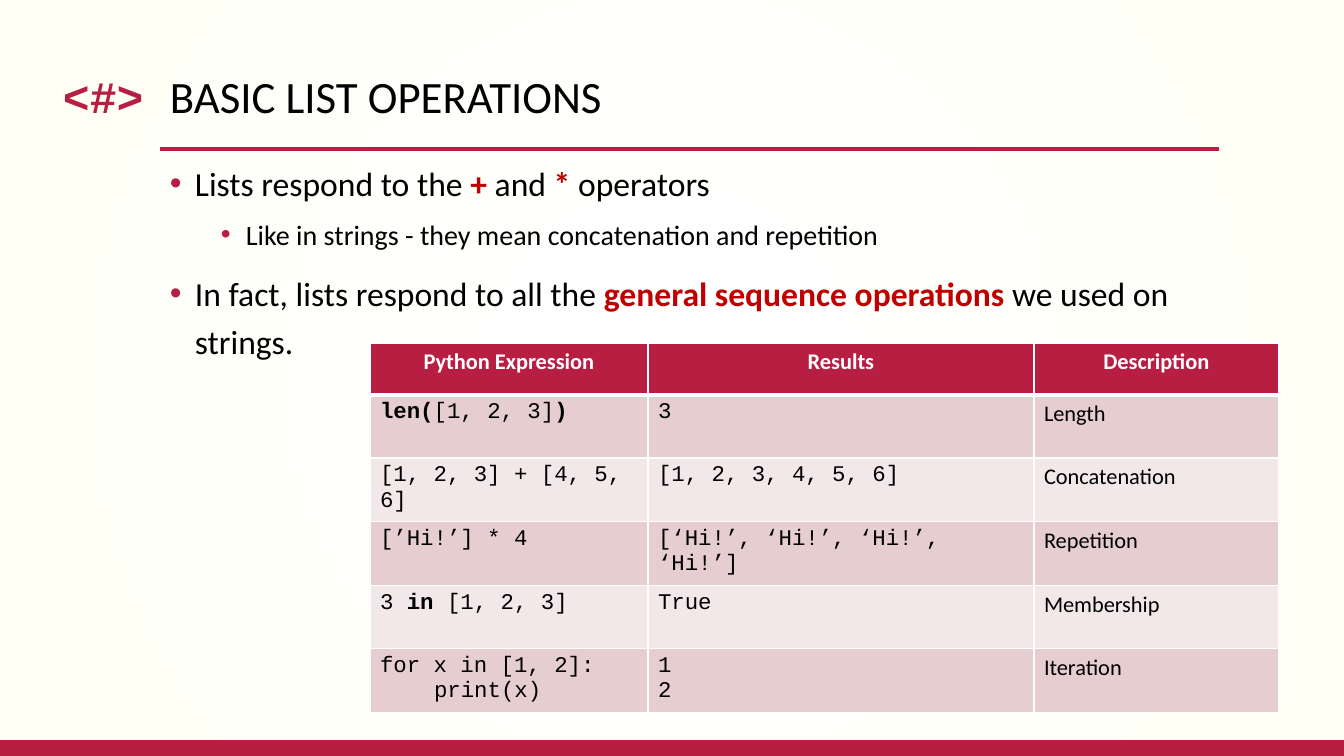
from lxml import etree
from pptx import Presentation
from pptx.dml.color import RGBColor
from pptx.enum.shapes import MSO_CONNECTOR, MSO_SHAPE
from pptx.enum.text import PP_ALIGN
from pptx.oxml.ns import qn
from pptx.util import Emu, Pt

STRAIGHT = MSO_CONNECTOR.STRAIGHT
RECTANGLE = MSO_SHAPE.RECTANGLE
CENTER = PP_ALIGN.CENTER
LEFT = PP_ALIGN.LEFT

PX_PER_INCH = 100.8
SANS = "Calibri"
MONO = "Courier New"
COLORS = {
    "accent": "B71E42",
    "emphasis": "C00000",
    "ink": "000000",
    "white": "FFFFFF",
    "cream": "FFFFF6",
    "odd_row": "E6CDCF",
    "even_row": "F3E8E9",
}

# Pieces of a list alternate between plain and emphasised text.
BULLETS = [
    (0, ["Lists respond to the ", "+", " and ", "*", " operators"]),
    (1, ["Like in strings - they mean concatenation and repetition"]),
    (0, ["In fact, lists respond to all the ", "general sequence operations",
         " we used on strings."]),
]
BULLET_LEVELS = [
    {"size": 24, "margin": 25, "before": 10},
    {"size": 20, "margin": 76, "before": 5},
]
HEADINGS = ["Python Expression", "Results", "Description"]
OPERATIONS = [
    ([["", "len(", "[1, 2, 3]", ")"]], [["3"]], "Length"),
    ([["[1, 2, 3] + [4, 5, 6]"]], [["[1, 2, 3, 4, 5, 6]"]], "Concatenation"),
    ([["[’Hi!’] * 4"]], [["[‘Hi!’, ‘Hi!’, ‘Hi!’, ‘Hi!’]"]], "Repetition"),
    ([["3 ", "in", " [1, 2, 3]"]], [["True"]], "Membership"),
    ([["for x in [1, 2]:"], ["print(x)"]], [["1"], ["2"]], "Iteration"),
]
COLUMN_WIDTHS = [278, 386, 245]
HEADER_HEIGHT, ROW_HEIGHT = 52, 63
CODE_INDENT = 54


def px(length):
    """Convert pixels to EMU."""
    return Emu(round(length * 914400 / PX_PER_INCH))


def rgb(name):
    """Look up a named colour."""
    return RGBColor.from_string(COLORS[name])


def style_font(font, face, size, color, bold=None):
    """Set face, size, colour and weight of a font."""
    font.name, font.size, font.bold = face, Pt(size), bold
    font.color.rgb = rgb(color)


def add_pieces(paragraph, pieces, emphasis_color):
    """Add runs that alternate between plain and emphasised."""
    for index, piece in enumerate(pieces):
        if piece:
            run = paragraph.add_run()
            run.text = piece
            if index % 2:
                run.font.bold = True
                run.font.color.rgb = rgb(emphasis_color)


def next_paragraph(frame, index):
    """Return the first paragraph, or a new one after it."""
    return frame.add_paragraph() if index else frame.paragraphs[0]


def add_text_box(slide, left, top, width, height):
    """Add a wrapping text box and return its frame."""
    frame = slide.shapes.add_textbox(px(left), px(top), px(width), px(height)).text_frame
    frame.word_wrap = True
    return frame


def add_label(slide, box, text, face, color, bold=False):
    """Add one line of heading text."""
    frame = add_text_box(slide, *box)
    frame.margin_top = px(7)
    paragraph = frame.paragraphs[0]
    paragraph.text = text
    style_font(paragraph.font, face, 32, color, bold)


def set_background(slide):
    """Fill the background with a radial gradient."""
    fill = slide.background.fill
    fill.gradient()
    for stop, name in zip(fill.gradient_stops, ["white", "cream"]):
        stop.color.rgb = rgb(name)
    gradient = slide.element.find(".//" + qn("a:gradFill"))
    linear = gradient.find(qn("a:lin"))
    circle = etree.Element(qn("a:path"), {"path": "circle"})
    sides = dict.fromkeys("ltrb", "50000")
    etree.SubElement(circle, qn("a:fillToRect"), sides)
    gradient.replace(linear, circle)


def add_footer_band(slide):
    """Add the band along the bottom edge."""
    band = slide.shapes.add_shape(RECTANGLE, 0, px(740), px(1344), px(16))
    band.shadow.inherit = False
    band.fill.solid()
    band.fill.fore_color.rgb = rgb("accent")
    band.line.fill.background()


def add_title_rule(slide):
    """Add the line below the title."""
    rule = slide.shapes.add_connector(STRAIGHT, px(160), px(149), px(1219), px(149))
    rule.line.color.rgb = rgb("accent")
    rule.line.width = Pt(2.5)
    etree.SubElement(rule.element.spPr, qn("a:effectLst"))


def set_indent(paragraph, margin, hanging=0):
    """Set the left margin and hanging indent."""
    properties = paragraph._p.get_or_add_pPr()
    properties.set("marL", str(px(margin)))
    properties.set("indent", str(px(-hanging)))
    return properties


def add_bullets(slide):
    """Add the bulleted statements."""
    frame = add_text_box(slide, 160, 150, 1059, 551)
    for index, (level, pieces) in enumerate(BULLETS):
        look = BULLET_LEVELS[level]
        paragraph = next_paragraph(frame, index)
        paragraph.level = level
        paragraph.line_spacing = 1.2
        paragraph.space_before = Pt(look["before"])
        properties = set_indent(paragraph, look["margin"], 25)
        color = etree.SubElement(properties, qn("a:buClr"))
        etree.SubElement(color, qn("a:srgbClr"), val=COLORS["accent"])
        etree.SubElement(properties, qn("a:buFont"), typeface="Arial")
        etree.SubElement(properties, qn("a:buChar"), char="•")
        style_font(paragraph.font, SANS, look["size"], "ink")
        add_pieces(paragraph, pieces, "emphasis")


def set_borders(cell, bottom_width):
    """Draw white borders around a cell."""
    properties = cell._tc.get_or_add_tcPr()
    widths = {"lnL": 1, "lnR": 1, "lnT": 1, "lnB": bottom_width}
    for position, (side, width) in enumerate(widths.items()):
        border = etree.Element(qn("a:" + side), w=str(Pt(width)))
        fill = etree.SubElement(border, qn("a:solidFill"))
        etree.SubElement(fill, qn("a:srgbClr"), val=COLORS["white"])
        properties.insert(position, border)


def fill_cell(cell, lines, face, fill, header=False):
    """Write lines of text into a filled, bordered cell."""
    cell.fill.solid()
    cell.fill.fore_color.rgb = rgb(fill)
    set_borders(cell, 3 if header else 1)
    for index, pieces in enumerate(lines):
        paragraph = next_paragraph(cell.text_frame, index)
        paragraph.alignment = CENTER if header else LEFT
        style_font(paragraph.font, face, 16, "white" if header else "ink", header)
        add_pieces(paragraph, pieces, "ink")


def add_operations_table(slide):
    """Add the table of list operations."""
    height = HEADER_HEIGHT + ROW_HEIGHT * len(OPERATIONS)
    table = slide.shapes.add_table(
        len(OPERATIONS) + 1, len(HEADINGS),
        px(370), px(343), px(sum(COLUMN_WIDTHS)), px(height)).table
    for column, width in zip(table.columns, COLUMN_WIDTHS):
        column.width = px(width)
    for index, row in enumerate(table.rows):
        row.height = px(ROW_HEIGHT if index else HEADER_HEIGHT)
    for column, heading in enumerate(HEADINGS):
        fill_cell(table.cell(0, column), [[heading]], SANS, "accent", True)
    for row, (expression, result, description) in enumerate(OPERATIONS, 1):
        fill = "odd_row" if row % 2 else "even_row"
        fill_cell(table.cell(row, 0), expression, MONO, fill)
        fill_cell(table.cell(row, 1), result, MONO, fill)
        fill_cell(table.cell(row, 2), [[description]], SANS, fill)
    loop_body = table.cell(len(OPERATIONS), 0).text_frame.paragraphs[1]
    set_indent(loop_body, CODE_INDENT)


def main():
    """Build the slide and save it."""
    deck = Presentation()
    deck.slide_width, deck.slide_height = px(1344), px(756)
    slide = deck.slides.add_slide(deck.slide_layouts[6])
    set_background(slide)
    add_footer_band(slide)
    add_title_rule(slide)
    add_label(slide, (53, 62, 107, 65), "<#>", MONO, "accent", True)
    add_label(slide, (160, 62, 1059, 79), "BASIC LIST OPERATIONS", SANS, "ink")
    add_bullets(slide)
    add_operations_table(slide)
    deck.save("out.pptx")


if __name__ == "__main__":
    main()
